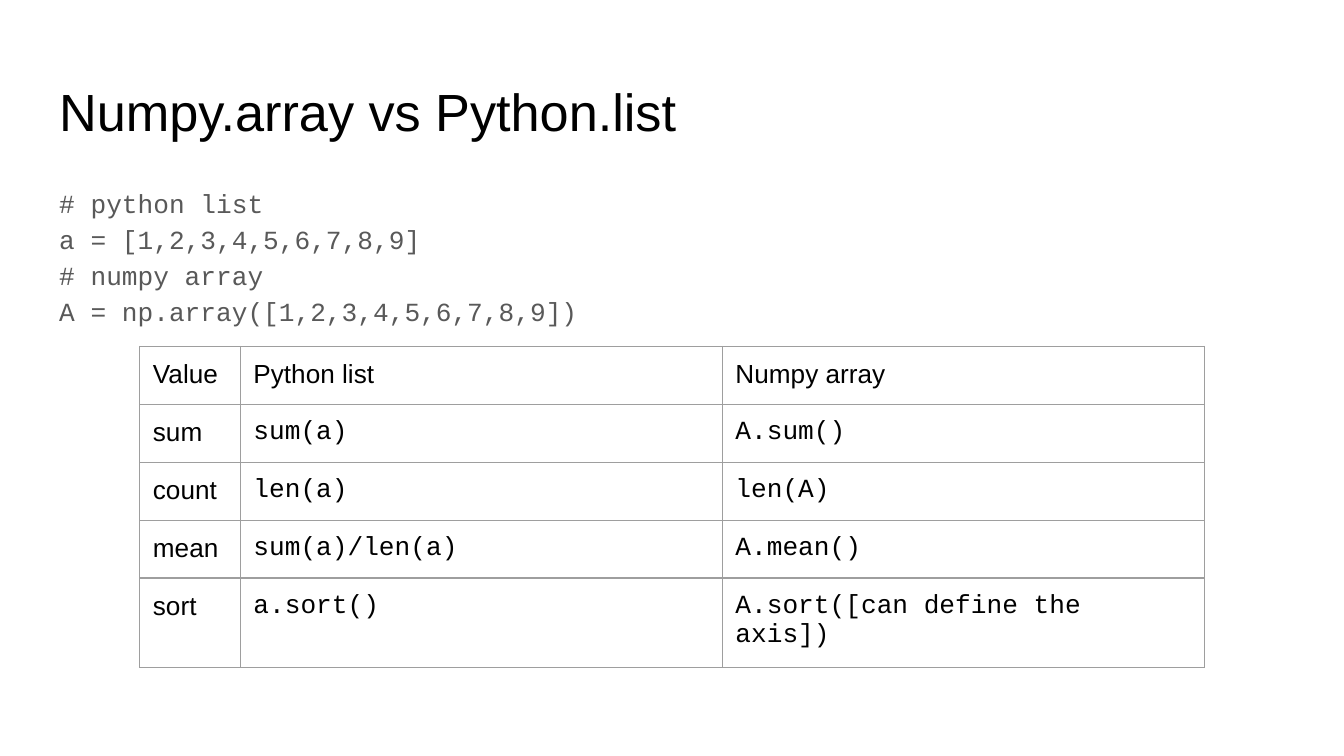
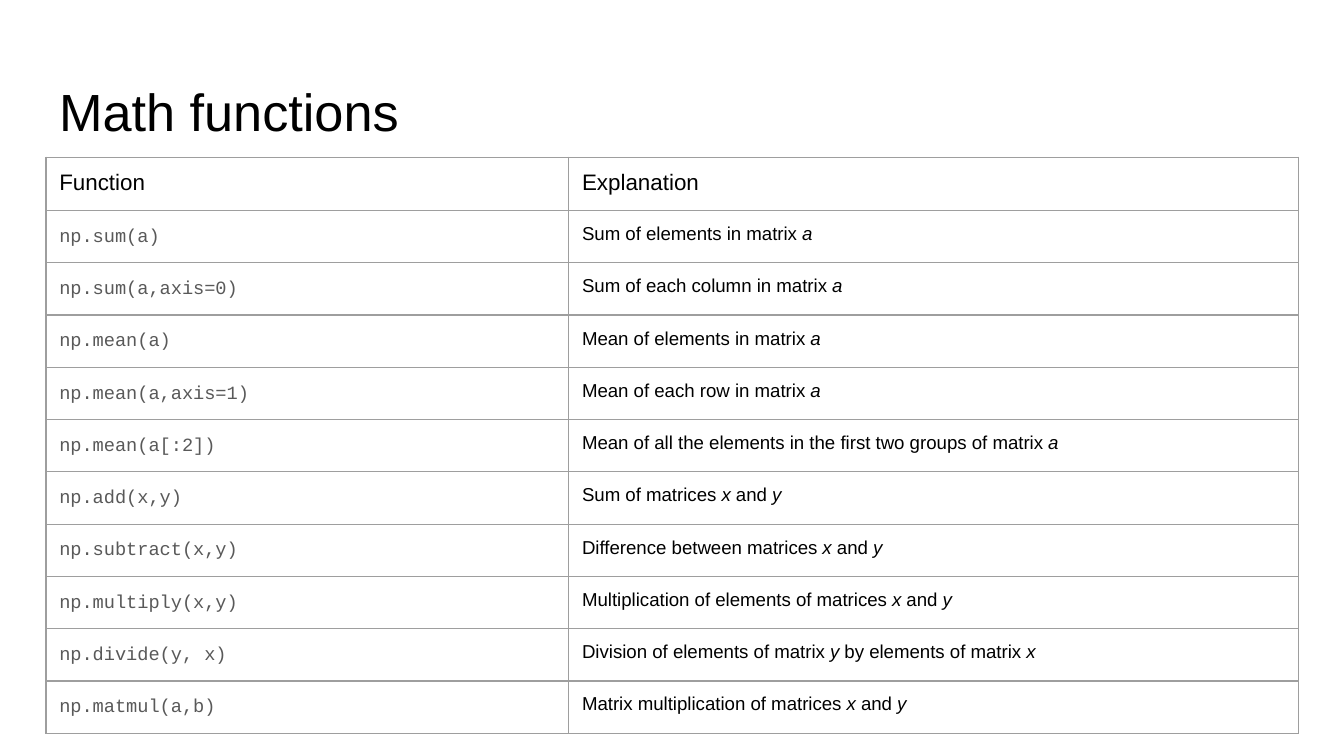
import pptx
import pptx.dml.color
import pptx.oxml
import pptx.oxml.ns
import pptx.util
from pptx.util import Cm

BLACK = pptx.dml.color.RGBColor(0x00, 0x00, 0x00)
GRAY = pptx.dml.color.RGBColor(0x59, 0x59, 0x59)
BORDER = pptx.dml.color.RGBColor(0x9E, 0x9E, 0x9E)
SANS, MONO = "Arial", "Courier New"
INSET = Cm(0.25)
LEFT, WIDTH = Cm(0.87), Cm(23.67)


def write(frame, text, size, font=SANS, color=BLACK, spacing=1.0):
    """Write text into a frame; *stars* mark italics, newlines break the line."""
    frame.word_wrap = True
    paragraph = frame.paragraphs[0]
    paragraph.line_spacing = spacing
    for line_number, line in enumerate(text.split("\n")):
        if line_number:
            paragraph.add_line_break()
        for part_number, part in enumerate(line.split("*")):
            if not part:
                continue
            run = paragraph.add_run()
            run.text = part
            run.font.size = pptx.util.Pt(size)
            run.font.name = font
            run.font.color.rgb = color
            run.font.italic = part_number % 2 == 1


def add_grid(slide, left, top, widths, row_height, rows, header_format, column_formats):
    """Add a bordered table whose first row is the header."""
    table = slide.shapes.add_table(
        len(rows), len(widths), left, top, sum(widths), row_height * len(rows)
    ).table
    table.first_row = table.horz_banding = False
    for column, width in zip(table.columns, widths):
        column.width = width
    for row_number, texts in enumerate(rows):
        table.rows[row_number].height = row_height
        for column_number, text in enumerate(texts):
            cell = table.cell(row_number, column_number)
            cell.margin_left = cell.margin_right = INSET
            cell.margin_top = cell.margin_bottom = INSET
            properties = cell._tc.get_or_add_tcPr()
            for side in ("lnL", "lnR", "lnT", "lnB"):
                properties.append(pptx.oxml.parse_xml(
                    f'<a:{side} {pptx.oxml.ns.nsdecls("a")} w="{pptx.util.Pt(0.75)}">'
                    f'<a:solidFill><a:srgbClr val="{BORDER}"/></a:solidFill></a:{side}>'
                ))
            cell.fill.background()
            cell_format = column_formats[column_number] if row_number else header_format
            write(cell.text_frame, text, **cell_format)


presentation = pptx.Presentation()
presentation.slide_width = Cm(25.4)
presentation.slide_height = Cm(14.29)

# Slides with the shared title, and the code text under the first one
code = """# python list
a = [1,2,3,4,5,6,7,8,9]
# numpy array
A = np.array([1,2,3,4,5,6,7,8,9])"""
title_format = dict(size=28)
code_format = dict(size=14, font=MONO, color=GRAY, spacing=1.15)
title_box = (Cm(1.24), Cm(1.6), title_format)
code_box = (Cm(3.2), Cm(9.5), code_format)
slides = []
for boxes in (
    [("Numpy.array vs Python.list", *title_box), (code, *code_box)],
    [("Math functions", *title_box)],
):
    slide = presentation.slides.add_slide(presentation.slide_layouts[6])
    slides.append(slide)
    for text, top, height, text_format in boxes:
        frame = slide.shapes.add_textbox(LEFT, top, WIDTH, height).text_frame
        frame.margin_left = frame.margin_right = INSET
        frame.margin_top = frame.margin_bottom = INSET
        write(frame, text, **text_format)
comparison_slide, functions_slide = slides

# Slide 1: list and array side by side
comparison = [
    ("Value", "Python list", "Numpy array"),
    ("sum", "sum(a)", "A.sum()"),
    ("count", "len(a)", "len(A)"),
    ("mean", "sum(a)/len(a)", "A.mean()"),
    ("sort", "a.sort()", "A.sort([can define the axis])"),
]
label_format = dict(size=14)
call_format = dict(size=14, font=MONO)
add_grid(
    comparison_slide, Cm(2.64), Cm(6.55), [Cm(1.9), Cm(9.11), Cm(9.11)], Cm(1.06),
    comparison, label_format, [label_format, call_format, call_format],
)

# Slide 2: functions and what they do
functions = [
    ("Function", "Explanation"),
    ("np.sum(a)", "Sum of elements in matrix* a*"),
    ("np.sum(a,axis=0)", "Sum of each column in matrix* a*"),
    ("np.mean(a)", "Mean of elements in matrix* a*"),
    ("np.mean(a,axis=1)", "Mean of each row in matrix* a*"),
    ("np.mean(a[:2])", "Mean of all the elements in the first two groups of matrix* a*"),
    ("np.add(x,y)", "Sum of matrices *x* and *y*"),
    ("np.subtract(x,y)", "Difference between matrices *x* and *y*"),
    ("np.multiply(x,y)", "Multiplication of elements of matrices *x* and *y*"),
    ("np.divide(y, x)", "Division of elements of matrix *y* by elements of matrix *x*"),
    ("np.matmul(a,b)", "Matrix multiplication of matrices *x* and *y*"),
]
add_grid(
    functions_slide, LEFT, Cm(2.97), [Cm(9.88), Cm(13.79)], Cm(0.96),
    functions, dict(size=12),
    [dict(size=10, font=MONO, color=GRAY, spacing=1.15), dict(size=10)],
)

presentation.save("out.pptx")
